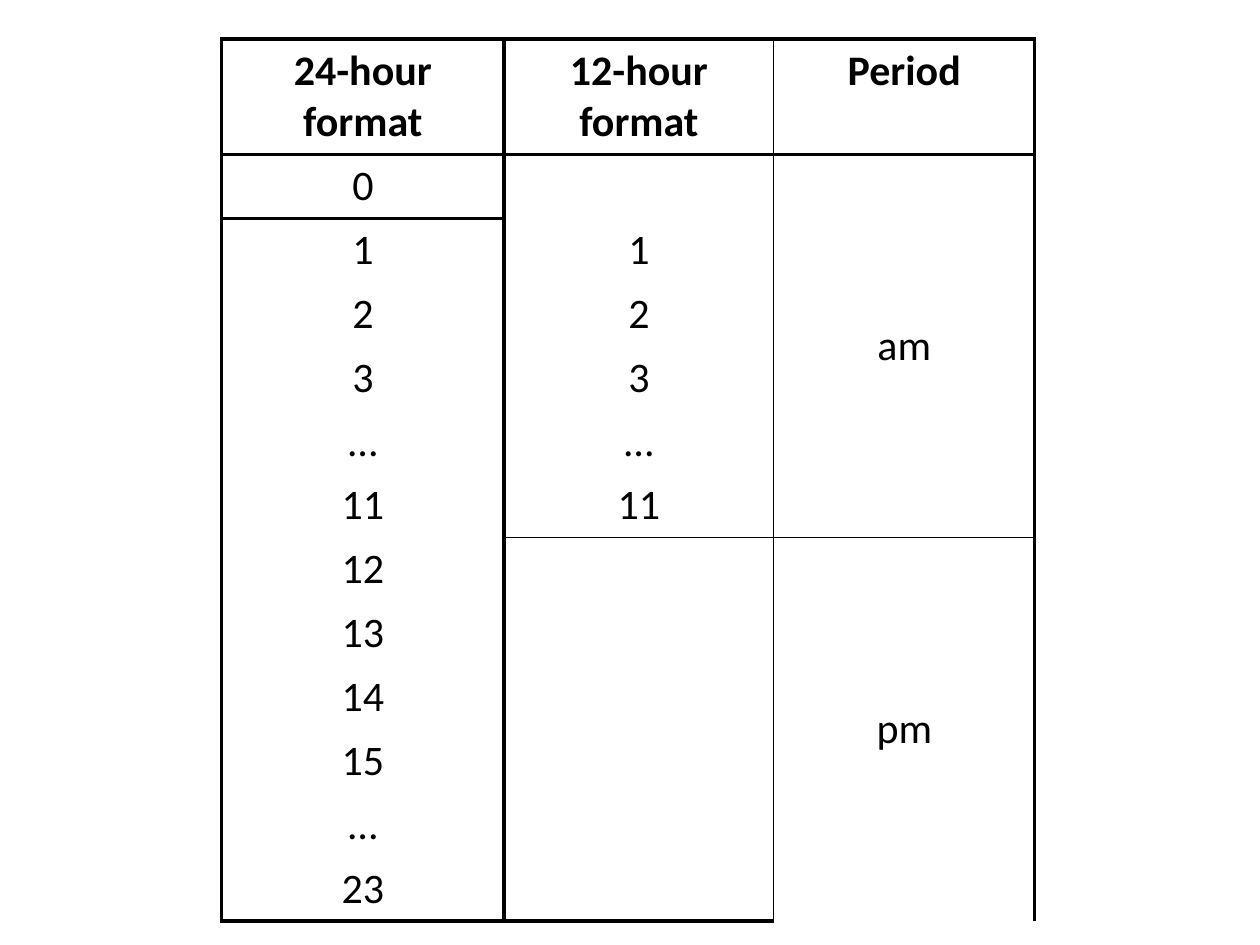
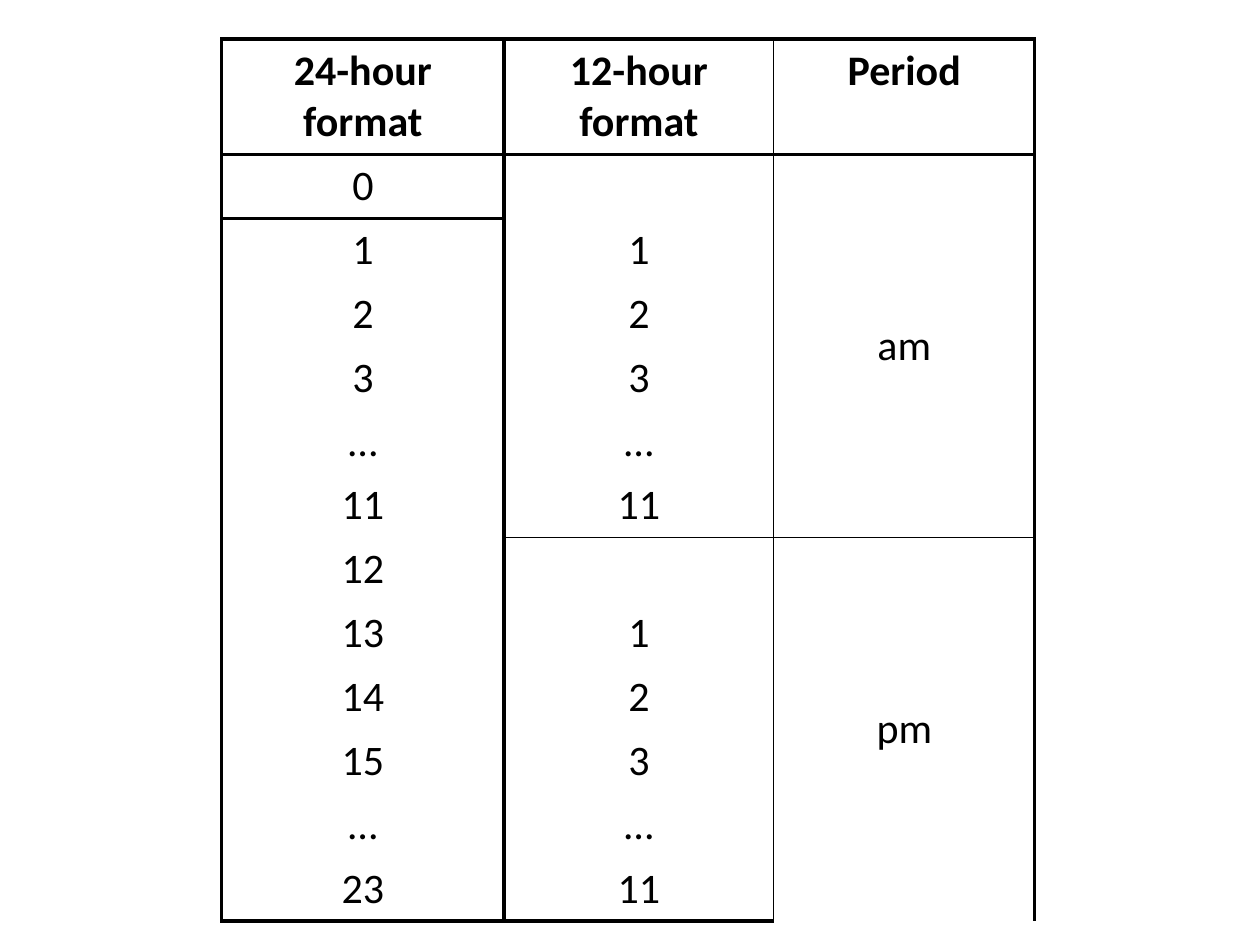
from lxml import etree
from pptx import Presentation
from pptx.dml.color import RGBColor
from pptx.enum.text import MSO_ANCHOR, PP_ALIGN
from pptx.oxml.ns import qn
from pptx.util import Cm, Pt

CENTER = PP_ALIGN.CENTER
TOP, MIDDLE = MSO_ANCHOR.TOP, MSO_ANCHOR.MIDDLE
BLACK = RGBColor(0, 0, 0)
WHITE = RGBColor(255, 255, 255)
PLAIN = "{2D5ABB26-0587-4C30-8999-92F81FD0307C}"  # no style, no grid
THICK, THIN, NONE = 2.25, 0.5, 0

# Content
HEADS = ["24-hour format", "12-hour format", "Period"]
HOURS = ["0", "1", "2", "3", "…", "11", "12", "13", "14", "15", "…", "23"]
HALF = ["", "1", "2", "3", "…", "11"]
EMPTY = [""] * len(HALF)
SPAN = len(HALF)
LAST = len(HOURS) + 1

# Geometry
LEFT, UPPER, TALL = Cm(4.47), Cm(0.79), Cm(17.53)
WIDTHS = [Cm(5.69), Cm(5.44), Cm(5.26)]
ROW = Cm(1.04)
UPRIGHTS = [THICK, THICK, THIN, THICK]


def write(cell, text, size=24, bold=False, color=BLACK, font="Calibri",
          align=CENTER, anchor=TOP):
    """Put formatted text in a table cell."""
    cell.vertical_anchor = anchor
    para = cell.text_frame.paragraphs[0]
    para.alignment = align
    para.font.size = Pt(size)
    if text:
        run = para.add_run()
        run.text = text
        run.font.size, run.font.bold, run.font.name = Pt(size), bold, font
        run.font.color.rgb = color


def level(edge, col):
    """Width of the horizontal rule above row number edge."""
    if edge in (0, 1, LAST) or (edge == 2 and col == 0):
        return THICK
    return THIN if edge == SPAN + 1 and col > 0 else NONE


class Deck:
    def __init__(self):
        self.prs = Presentation()
        self.prs.slide_width, self.prs.slide_height = Cm(25.4), Cm(19.05)
        self.slide = None

    def page(self):
        self.slide = self.prs.slides.add_slide(self.prs.slide_layouts[6])
        fill = self.slide.background.fill
        fill.solid()
        fill.fore_color.rgb = WHITE

    def rule(self, cell, side, width):
        """Draw one cell border, or hide it when the width is zero."""
        props = cell._tc.get_or_add_tcPr()
        line = etree.SubElement(props, qn("a:ln" + side), w=str(Pt(width)))
        if width:
            fill = etree.SubElement(line, qn("a:solidFill"))
            etree.SubElement(fill, qn("a:srgbClr"), val=str(BLACK))
        else:
            etree.SubElement(line, qn("a:noFill"))

    def table(self, half):
        """Draw the clock table with the given 12-hour column."""
        frame = self.slide.shapes.add_table(
            LAST, len(HEADS), LEFT, UPPER, sum(WIDTHS), TALL)
        grid = frame.table
        grid.first_row = grid.horz_banding = False
        grid._tbl.tblPr.find(qn("a:tableStyleId")).text = PLAIN
        for col, width in zip(grid.columns, WIDTHS):
            col.width = width
        for row in grid.rows:
            row.height = ROW
        frame.height = TALL

        # Borders and fills
        for r in range(LAST):
            for c in range(len(HEADS)):
                cell = grid.cell(r, c)
                self.rule(cell, "L", UPRIGHTS[c])
                self.rule(cell, "R", UPRIGHTS[c + 1])
                self.rule(cell, "T", level(r, c))
                self.rule(cell, "B", level(r + 1, c))
                cell.fill.background()

        # Header and hours
        for c, head in enumerate(HEADS):
            write(grid.cell(0, c), head, bold=True)
        for r, pair in enumerate(zip(HOURS, half), 1):
            for c, text in enumerate(pair):
                write(grid.cell(r, c), text)

        # Merged periods
        for top, name in ((1, "am"), (1 + SPAN, "pm")):
            cell = grid.cell(top, 2)
            cell.merge(grid.cell(top + SPAN - 1, 2))
            write(cell, name, anchor=MIDDLE)


deck = Deck()
for later in (EMPTY, HALF):
    deck.page()
    deck.table(HALF + later)
deck.prs.save("out.pptx")
